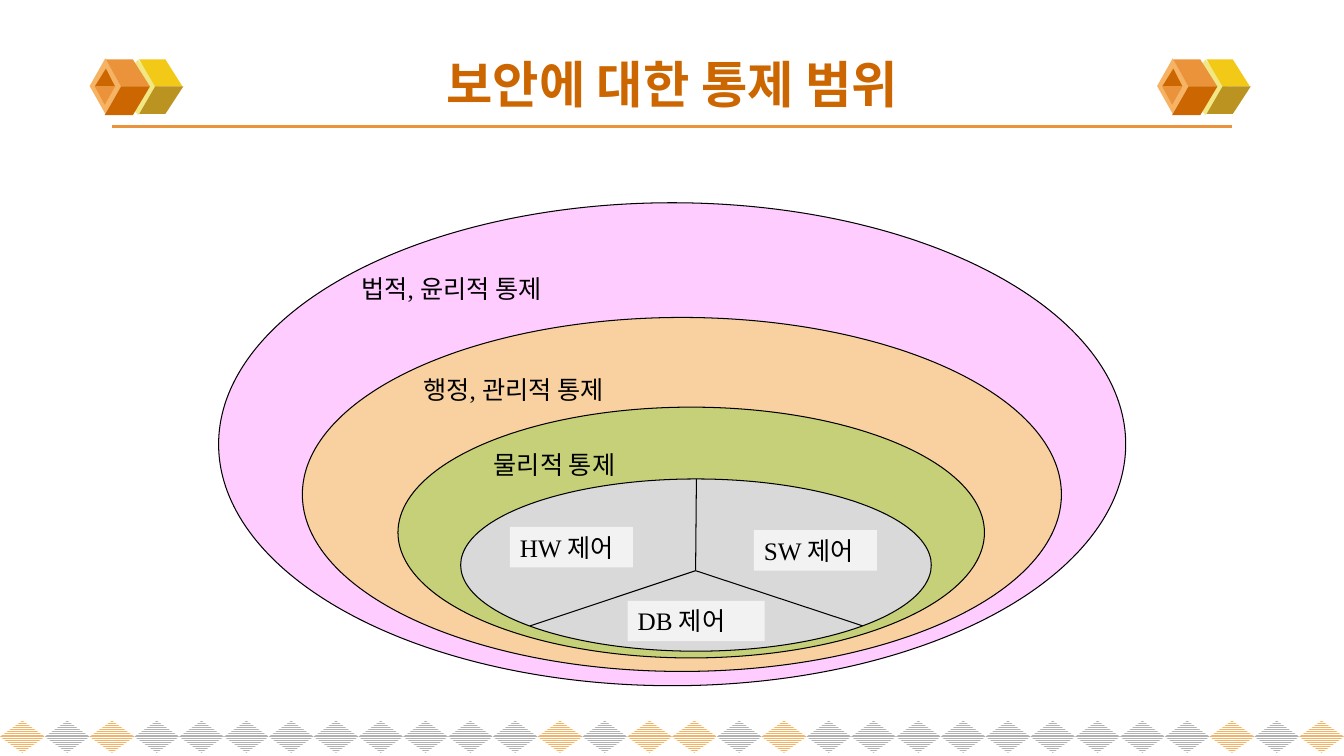
from lxml.etree import SubElement
from pptx import Presentation
from pptx.dml.color import RGBColor
from pptx.enum.dml import MSO_PATTERN
from pptx.enum.shapes import MSO_CONNECTOR, MSO_SHAPE
from pptx.enum.text import MSO_ANCHOR, MSO_AUTO_SIZE, PP_ALIGN
from pptx.oxml.ns import qn
from pptx.util import Cm, Pt

WIDE, HIGH = 33.87, 19.05
FONT = "Times New Roman"
TITLE = ("보안에 대한 통제 범위", (1.7, 1.02, 30.48, 2.16))
RULE = ((2.82, 3.18), (31.04, 3.18))
COUNT = 30
WARM = {0, 2, 12, 14, 15, 17, 27, 29}
CUBES = [0, 26.9]
GEMS = [
    ("F1E785", (2.92, 1.5, 1.12, 1.4), [
        ("F3C917", [(3.91, 2.18), (4.6, 2.18), (4.17, 1.5), (3.51, 1.5)]),
        ("BB9321", [(3.91, 2.18), (4.62, 2.18), (4.17, 2.87), (3.51, 2.87)]),
    ]),
    ("F5B363", (2.26, 1.47, 0.79, 1.4), [
        ("EB933B", [(3.05, 2.18), (3.78, 2.18), (3.35, 1.5), (2.67, 1.5)]),
        ("CC6600", [(3.05, 2.18), (3.78, 2.18), (3.35, 2.9), (2.64, 2.9)]),
        ("CC6600", [(2.67, 1.73), (2.39, 2.18), (2.9, 2.18)]),
        ("EB933B", [(2.64, 2.64), (2.39, 2.18), (2.9, 2.18)]),
    ]),
]
RINGS = [
    ("법적, 윤리적 통제", "FFCCFF", 100, 0, (5.51, 5.11, 22.86, 12.17)),
    ("행정, 관리적 통제", "F9D1A1", 100, 0.13, (7.62, 8, 19.13, 8.92)),
    ("물리적 통제", "92D050", 50, 0.13, (10.03, 10.26, 14.78, 6.32)),
    ("", "D9D9D9", 100, 0.13, (11.61, 12.07, 11.86, 4.34)),
]
HUB = (17.53, 14.38)
SPOKES = [(17.55, 12.07), (13.36, 15.77), (21.74, 15.77)]
TAGS = [
    ("HW 제어", (12.85, 13.28, 3.1, 1.02)),
    ("SW 제어", (19, 13.36, 3.1, 1.02)),
    ("DB 제어", (15.82, 15.14, 3.45, 1.02)),
]

deck = Presentation()
deck.slide_width, deck.slide_height = Cm(WIDE), Cm(HIGH)
slide = deck.slides.add_slide(deck.slide_layouts[6])
shapes = slide.shapes


def color(code):
    return RGBColor.from_string(code)


def paint(shape, fill, edge=None):
    shape.shadow.inherit = False
    shape.fill.solid()
    shape.fill.fore_color.rgb = color(fill)
    if edge:
        shape.line.color.rgb = color(edge)
        shape.line.width = Pt(0.75)
    else:
        shape.line.fill.background()


def put(kind, box, fill, edge=None):
    shape = shapes.add_shape(kind, *map(Cm, box))
    paint(shape, fill, edge)
    return shape


def write(shape, text, size=18, ink="000000", bold=False,
          align=PP_ALIGN.LEFT, anchor=MSO_ANCHOR.TOP):
    frame = shape.text_frame
    frame.word_wrap = True
    frame.vertical_anchor = anchor
    para = frame.paragraphs[0]
    para.alignment = align
    run = para.add_run()
    run.text = text
    run.font.name = FONT
    run.font.size = Pt(size)
    run.font.bold = bold
    run.font.color.rgb = color(ink)
    return frame


def link(start, end, ink="000000", width=0.75):
    line = shapes.add_connector(MSO_CONNECTOR.STRAIGHT, *map(Cm, start + end))
    line.line.color.rgb = color(ink)
    line.line.width = Pt(width)
    SubElement(line._element.spPr, qn("a:effectLst"))


step = WIDE / COUNT
for i in range(COUNT):
    tile = put(MSO_SHAPE.DIAMOND, (i * step, 18.16, step, 0.81), "FFFFFF")
    tile.fill.patterned()
    tile.fill.pattern = MSO_PATTERN.NARROW_HORIZONTAL
    tile.fill.fore_color.rgb = color("F5B363" if i in WARM else "B2B2B2")
    tile.fill.back_color.rgb = color("FFFFFF")

link(*RULE, "EB933B", 2.25)
for shift in CUBES:
    for fill, (x, y, w, h), faces in GEMS:
        put(MSO_SHAPE.DIAMOND, (x + shift, y, w, h), fill)
        for tint, points in faces:
            spots = [(Cm(px + shift), Cm(py)) for px, py in points]
            pen = shapes.build_freeform(*spots[0])
            pen.add_line_segments(spots[1:])
            paint(pen.convert_to_shape(), tint)

text, box = TITLE
write(shapes.add_textbox(*map(Cm, box)), text, 36, "CC6600", True,
      PP_ALIGN.CENTER, MSO_ANCHOR.MIDDLE)

for text, fill, solid, inset, box in RINGS:
    ring = put(MSO_SHAPE.OVAL, box, fill, "000000")
    if solid < 100:
        tint = ring._element.spPr.find(qn("a:solidFill"))[0]
        SubElement(tint, qn("a:alpha"), val=str(solid * 1000))
    if text:
        write(ring, text).margin_top = Cm(inset)

for end in SPOKES:
    link(HUB, end)

for text, box in TAGS:
    tag = put(MSO_SHAPE.RECTANGLE, box, "F2F2F2")
    write(tag, text).auto_size = MSO_AUTO_SIZE.SHAPE_TO_FIT_TEXT

deck.save("out.pptx")
